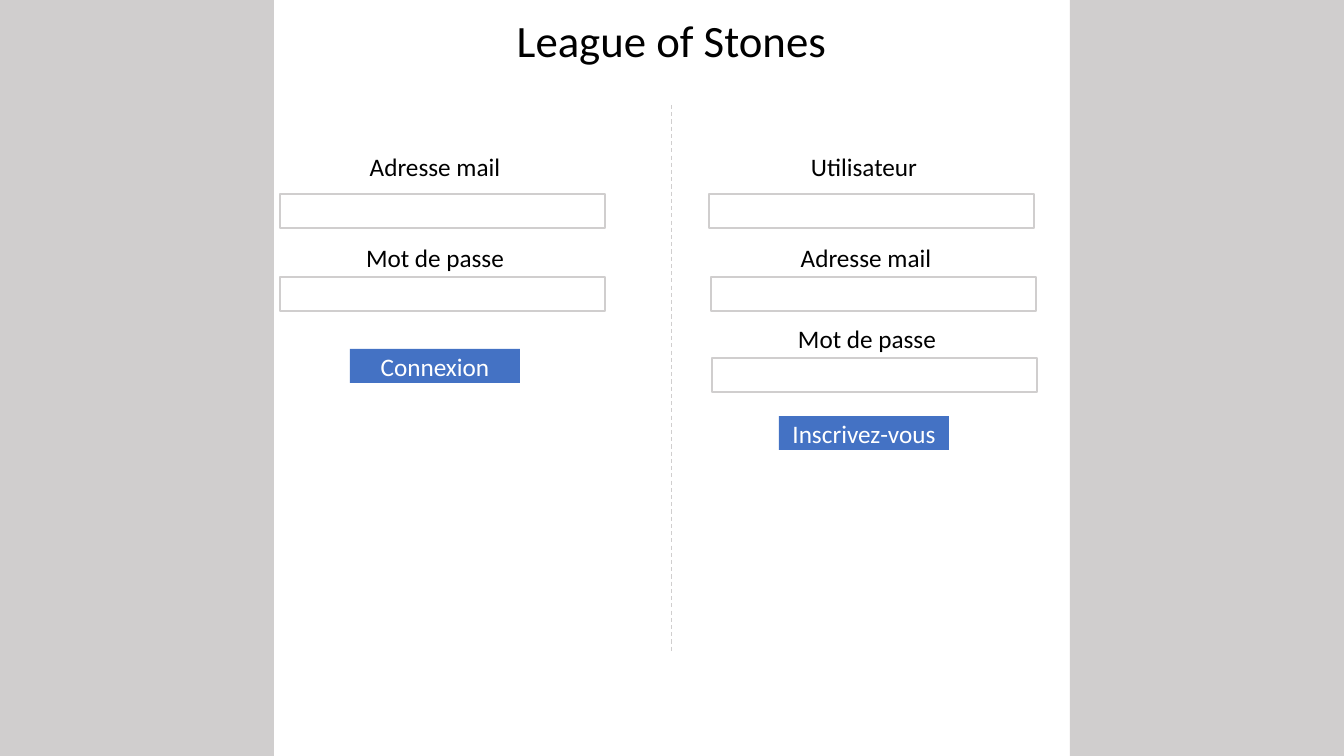
import pptx
import pptx.util
import pptx.dml.color
import pptx.enum.dml
import pptx.enum.shapes
import pptx.enum.text
import pptx.oxml.ns
from lxml import etree

EMU_PER_PX = 914400 / 100.8
SLIDE_WIDTH, SLIDE_HEIGHT = 1344, 756
SIDE_WIDTH = 274
FIELD_WIDTH, FIELD_HEIGHT = 325, 34
LABEL_WIDTH, LABEL_HEIGHT = 178, 40
BUTTON_WIDTH = 170
CENTRE_OFFSET = 155  # from a field's left edge to the middle of its label

BLACK = pptx.dml.color.RGBColor(0x00, 0x00, 0x00)
WHITE = pptx.dml.color.RGBColor(0xFF, 0xFF, 0xFF)
GREY = pptx.dml.color.RGBColor(0xD0, 0xCE, 0xCE)
BLUE = pptx.dml.color.RGBColor(0x44, 0x72, 0xC4)


def px(*lengths):
    return [pptx.util.Emu(round(length * EMU_PER_PX)) for length in lengths]


def write_text(shape, text, size, color):
    frame = shape.text_frame
    frame.word_wrap = True
    paragraph = frame.paragraphs[0]
    paragraph.alignment = pptx.enum.text.PP_ALIGN.CENTER
    run = paragraph.add_run()
    run.text = text
    run.font.color.rgb = color
    font_format = {"name": "Calibri", "size": pptx.util.Pt(size)}
    for name, value in font_format.items():
        setattr(run.font, name, value)


def add_label(slide, box, text, size=18):
    label = slide.shapes.add_textbox(*px(*box))
    write_text(label, text, size, BLACK)


def add_rectangle(slide, box, fill=None, line=None):
    shape = slide.shapes.add_shape(
        pptx.enum.shapes.MSO_SHAPE.RECTANGLE, *px(*box))
    shape.shadow.inherit = False
    if fill is None:
        shape.fill.background()
    else:
        shape.fill.solid()
        shape.fill.fore_color.rgb = fill
    if line is None:
        shape.line.fill.background()
    else:
        shape.line.color.rgb = line
        shape.line.width = pptx.util.Pt(1)
    return shape


def add_side_bands(slide):
    for left in (0, SLIDE_WIDTH - SIDE_WIDTH):
        add_rectangle(slide, (left, 0, SIDE_WIDTH, SLIDE_HEIGHT), fill=GREY)


def add_divider(slide, x, top, bottom):
    divider = slide.shapes.add_connector(
        pptx.enum.shapes.MSO_CONNECTOR.STRAIGHT, *px(x, top, x, bottom))
    divider.line.color.rgb = GREY
    line_format = {"width": pptx.util.Pt(0.75),
                   "dash_style": pptx.enum.dml.MSO_LINE.DASH}
    for name, value in line_format.items():
        setattr(divider.line, name, value)
    properties = divider.element.find(pptx.oxml.ns.qn("p:spPr"))
    etree.SubElement(properties, pptx.oxml.ns.qn("a:effectLst"))


def add_form(slide, left, top, rows, button_text, button_top):
    # Each row: label, indent, label top, field top
    for text, indent, label_top, field_top in rows:
        field_left = left + indent
        label_left = field_left + CENTRE_OFFSET - LABEL_WIDTH / 2
        add_label(slide, (label_left, top + label_top,
                          LABEL_WIDTH, LABEL_HEIGHT), text)
        add_rectangle(slide, (field_left, top + field_top,
                              FIELD_WIDTH, FIELD_HEIGHT), line=GREY)

    # Submit button
    button_left = left + CENTRE_OFFSET - BUTTON_WIDTH / 2
    button = add_rectangle(slide, (button_left, top + button_top,
                                   BUTTON_WIDTH, FIELD_HEIGHT), fill=BLUE)
    button.text_frame.vertical_anchor = pptx.enum.text.MSO_ANCHOR.MIDDLE
    write_text(button, button_text, 18, WHITE)


def main():
    presentation = pptx.Presentation()
    presentation.slide_width, presentation.slide_height = px(
        SLIDE_WIDTH, SLIDE_HEIGHT)
    slide = presentation.slides.add_slide(presentation.slide_layouts[6])

    # Page frame and title
    add_side_bands(slide)
    add_label(slide, (435, 8, 473, 65), "League of Stones", size=32)

    # Sign-in form
    add_form(slide, 280, 146,
             [("Adresse mail", 0, 0, 48), ("Mot de passe", 0, 91, 131)],
             "Connexion", 203)

    add_divider(slide, SLIDE_WIDTH / 2, 105, 651)

    # Sign-up form
    add_form(slide, 709, 146,
             [("Utilisateur", 0, 0, 48), ("Adresse mail", 2, 91, 131),
              ("Mot de passe", 3, 172, 212)],
             "Inscrivez-vous", 270)

    presentation.save("out.pptx")


if __name__ == "__main__":
    main()
